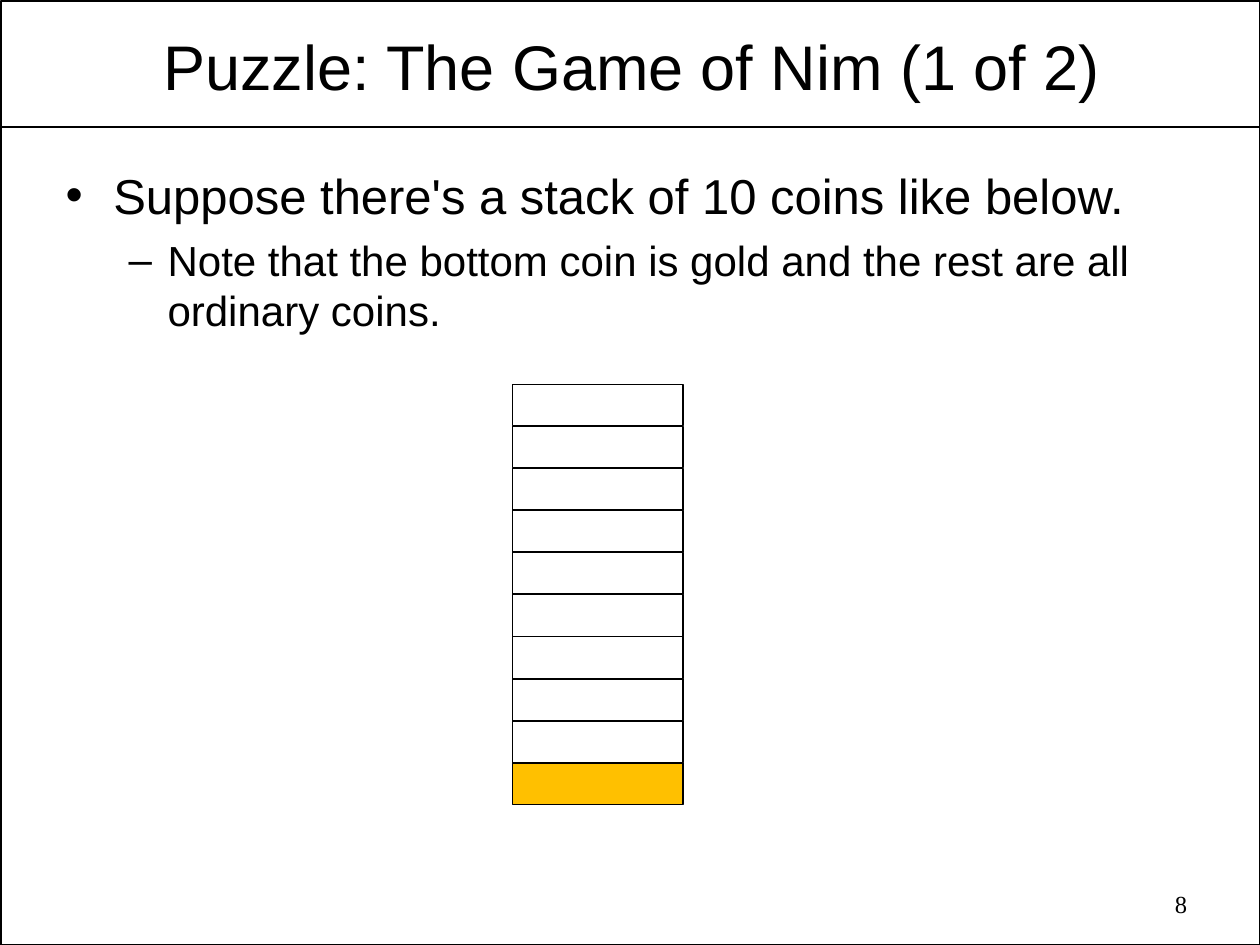
"""Build the slide that introduces the game of Nim with a stack of ten coins."""
from dataclasses import dataclass

from pptx import Presentation
from pptx.dml.color import RGBColor
from pptx.enum.shapes import MSO_CONNECTOR, MSO_SHAPE
from pptx.enum.text import MSO_ANCHOR, MSO_AUTO_SIZE, PP_ALIGN
from pptx.oxml.ns import qn
from pptx.util import Inches, Pt

BLACK, GOLD = "000000", "FFC000"
COINS = 10
COIN_LEFT, STACK_TOP, COIN_W, COIN_H = 4.07, 3.05, 1.35, 0.33
STACK_H = 3.34


@dataclass
class Bullet:
    """A bulleted paragraph with its level, size, spacing and indents."""
    text: str
    level: int
    size: int
    before: int
    left: float
    hang: float


BULLETS = [
    Bullet("Suppose there's a stack of 10 coins like below.", 0, 28, 7, 0.38, 0.38),
    Bullet("Note that the bottom coin is gold and the rest are all ordinary coins.",
           1, 24, 6, 0.81, 0.31),
]


def rgb(color: str) -> RGBColor:
    """Turn a hex string into a colour."""
    return RGBColor.from_string(color)


def place(sp, left: float, top: float, width: float, height: float) -> None:
    """Move and size a shape, in inches."""
    sp.left, sp.top = Inches(left), Inches(top)
    sp.width, sp.height = Inches(width), Inches(height)


def style(p, size: int, name: str = "Arial") -> None:
    """Set the font of a whole paragraph."""
    p.font.size, p.font.name = Pt(size), name
    p.font.color.rgb = rgb(BLACK)


def add_rect(shapes, left: float, top: float, width: float, height: float,
             weight: float, fill: str = ""):
    """Draw a black-edged rectangle, filled if a colour is given."""
    sp = shapes.add_shape(MSO_SHAPE.RECTANGLE, Inches(left), Inches(top),
                          Inches(width), Inches(height))
    sp.shadow.inherit = False
    if fill:
        sp.fill.solid()
        sp.fill.fore_color.rgb = rgb(fill)
    else:
        sp.fill.background()
    sp.line.color.rgb = rgb(BLACK)
    sp.line.width = Pt(weight)
    return sp


def add_frame(s) -> None:
    """Draw the slide border and the rule under the title."""
    border = add_rect(s.shapes, 0.01, 0.01, 9.99, 7.49, 1)
    rule = s.shapes.add_connector(MSO_CONNECTOR.STRAIGHT, Inches(0.01), Inches(1.01),
                                  Inches(9.99), Inches(1.01))
    rule.line.color.rgb = rgb(BLACK)
    rule.line.width = Pt(1)
    sp_pr = rule._element.spPr
    sp_pr.append(sp_pr.makeelement(qn("a:effectLst"), {}))
    for i, sp in enumerate((border, rule)):
        s.shapes._spTree.insert(2 + i, sp._element)


def fill_title(sp) -> None:
    """Write the slide title."""
    place(sp, 0.53, 0.19, 8.97, 0.66)
    tf = sp.text_frame
    tf.text = "Puzzle: The Game of Nim (1 of 2)"
    tf.auto_size = MSO_AUTO_SIZE.NONE
    tf.vertical_anchor = MSO_ANCHOR.MIDDLE
    tf.margin_left = tf.margin_right = Inches(0.07)
    tf.margin_top = tf.margin_bottom = Inches(0.03)
    tf.paragraphs[0].alignment = PP_ALIGN.CENTER
    style(tf.paragraphs[0], 36)


def fill_body(sp) -> None:
    """Write the bulleted list."""
    place(sp, 0.42, 1.26, 9.17, 1.76)
    tf = sp.text_frame
    tf.auto_size = MSO_AUTO_SIZE.NONE
    tf.text = "\n".join(b.text for b in BULLETS)
    for p, b in zip(tf.paragraphs, BULLETS):
        p.level, p.space_before = b.level, Pt(b.before)
        style(p, b.size)
        p_pr = p._p.get_or_add_pPr()
        p_pr.set("marL", str(Inches(b.left)))
        p_pr.set("indent", str(-Inches(b.hang)))


def add_page_number(s, number: str) -> None:
    """Write the page number at the lower right."""
    sp = s.shapes.add_textbox(Inches(7.18), Inches(7.01), Inches(2.34), Inches(0.36))
    tf = sp.text_frame
    tf.word_wrap = True
    tf.text = number
    tf.paragraphs[0].alignment = PP_ALIGN.RIGHT
    style(tf.paragraphs[0], 14, "Times New Roman")


def add_stack(s) -> None:
    """Draw the stack from the gold bottom coin upwards."""
    stack = s.shapes.add_group_shape()
    for i in reversed(range(COINS)):
        add_rect(stack.shapes, COIN_LEFT, STACK_TOP + i * STACK_H / COINS,
                 COIN_W, COIN_H, 0.75, GOLD if i == COINS - 1 else "")


def main() -> None:
    """Build and save the slide."""
    prs = Presentation()
    prs.slide_width, prs.slide_height = Inches(10), Inches(7.5)
    s = prs.slides.add_slide(prs.slide_layouts[1])
    add_frame(s)
    fill_title(s.shapes.title)
    fill_body(s.placeholders[1])
    add_page_number(s, "8")
    add_stack(s)
    prs.save("out.pptx")


main()
